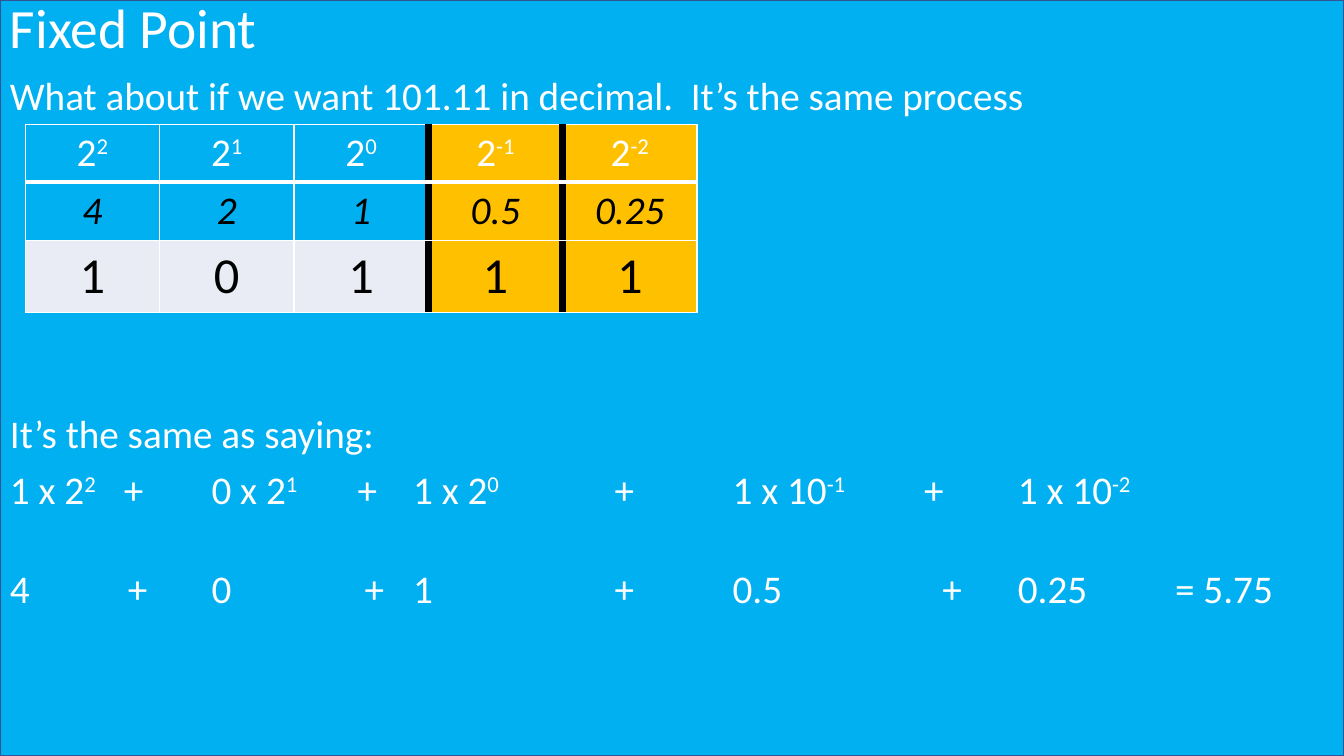
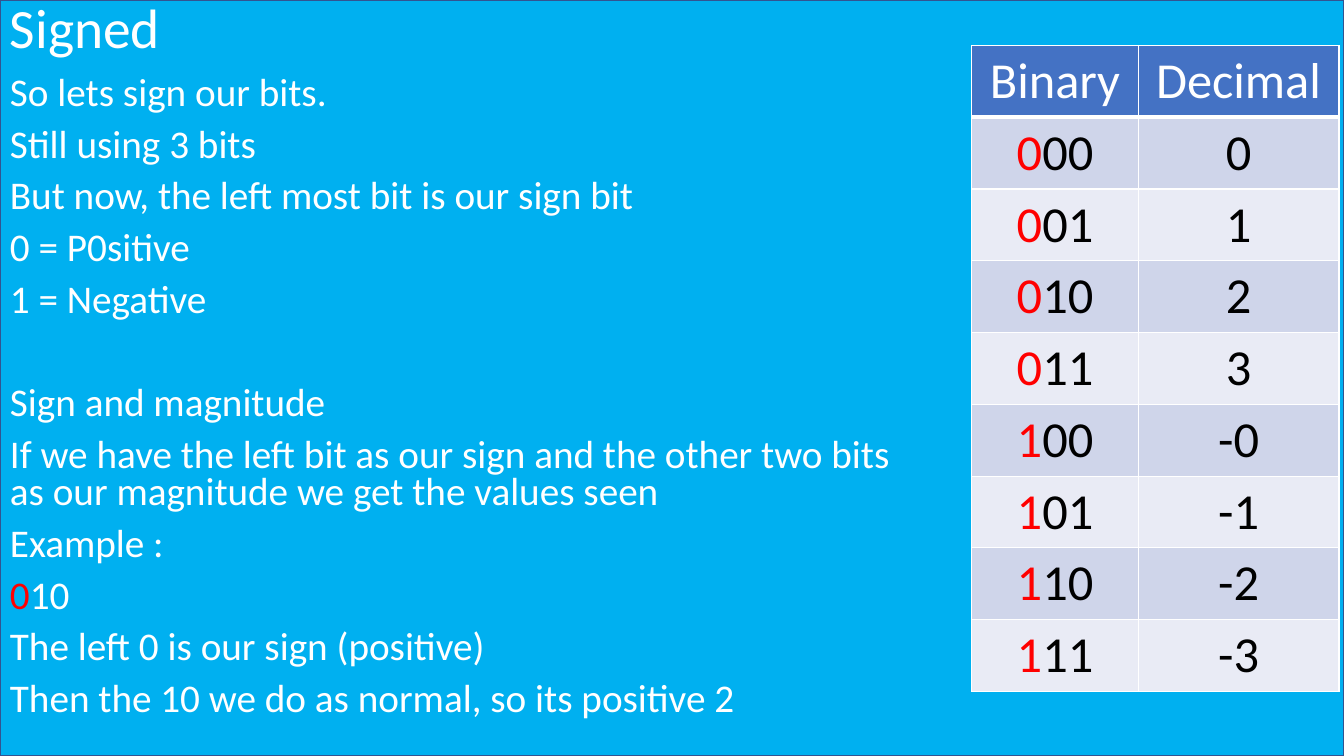
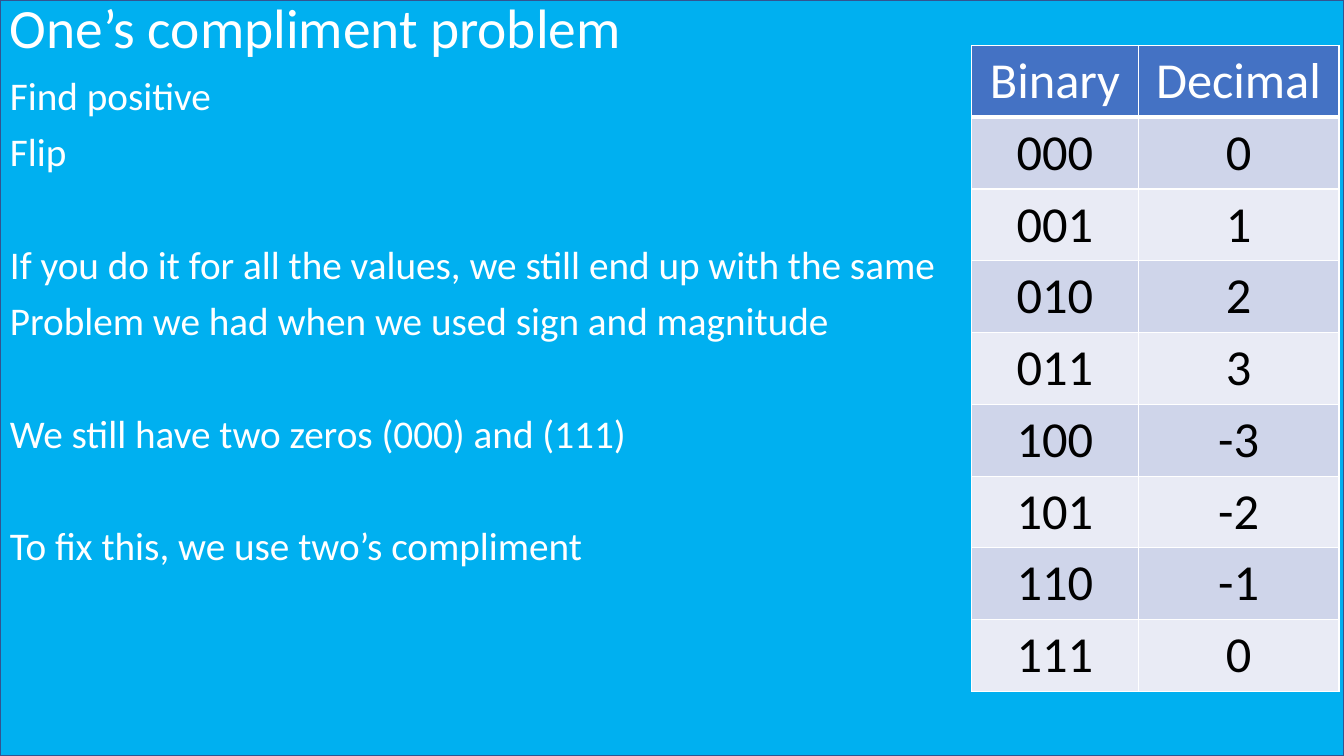
import dataclasses

import lxml.etree
import pptx
import pptx.dml.color
import pptx.enum.shapes
import pptx.enum.text
import pptx.oxml.ns
import pptx.util


@dataclasses.dataclass(frozen=True)
class Theme:
    font: str = "Calibri"
    sky: str = "00B0F0"
    frame: str = "325491"
    white: str = "FFFFFF"
    black: str = "000000"
    red: str = "FF0000"
    gold: str = "FFC000"
    head: str = "4472C4"
    bands: tuple = ("CFD5EA", "E9EBF5")
    title: float = 39.6
    body: float = 28
    large: float = 36
    lead: float = 10
    pitch: float = 1.2


THEME = Theme()
COLS, ROWS = 160, 90
CELL = pptx.util.Inches(1) / 12
CENTER = pptx.enum.text.PP_ALIGN.CENTER


def units(*counts):
    return [round(count * CELL) for count in counts]


def paint(hue):
    return pptx.dml.color.RGBColor.from_string(hue)


def child(parent, tag, **values):
    return lxml.etree.SubElement(parent, pptx.oxml.ns.qn(tag), **values)


def write(para, text, size=THEME.body, hue=THEME.white, slant=False,
          raised=False, align=None, line=None, before=0, tabs=()):
    """Parts between bars are raised, or else red."""
    if tabs:
        stops = child(para._p.get_or_add_pPr(), "a:tabLst")
        for stop in tabs:
            child(stops, "a:tab", pos=str(pptx.util.Inches(stop)), algn="l")
    para.alignment = align
    para.line_spacing = line
    para.space_before = pptx.util.Pt(before)
    for row, words in enumerate(text.split("\n")):
        if row:
            para.add_line_break()
        for spot, part in enumerate(words.split("|")):
            if not part:
                continue
            marked = spot % 2 == 1
            run = para.add_run()
            run.text = part
            run.font.name = THEME.font
            run.font.size = pptx.util.Pt(size)
            run.font.italic = slant
            run.font.color.rgb = paint(THEME.red if marked and not raised else hue)
            if marked and raised:
                run._r.get_or_add_rPr().set("baseline", "30000")


class Deck:
    def __init__(self):
        self.show = pptx.Presentation()
        self.show.slide_width, self.show.slide_height = units(COLS, ROWS)
        self.slide = None

    def start(self, title):
        self.slide = self.show.slides.add_slide(self.show.slide_layouts[6])
        back = self.slide.shapes.add_shape(
            pptx.enum.shapes.MSO_SHAPE.RECTANGLE, *units(0, 0, COLS, ROWS))
        back.shadow.inherit = False
        back.fill.solid()
        back.fill.fore_color.rgb = paint(THEME.sky)
        back.line.color.rgb = paint(THEME.frame)
        back.line.width = pptx.util.Pt(1)
        frame = self.box(0, 7.3)
        frame.vertical_anchor = pptx.enum.text.MSO_ANCHOR.MIDDLE
        write(frame.paragraphs[0], title, size=THEME.title, line=0.9)

    def box(self, top, tall):
        frame = self.slide.shapes.add_textbox(*units(0, top, COLS, tall)).text_frame
        frame.word_wrap = True
        frame.auto_size = pptx.enum.text.MSO_AUTO_SIZE.NONE
        return frame

    def body(self, items, line=0.9, raised=False):
        frame = self.box(8.5, ROWS - 8.5)
        step = THEME.body * THEME.pitch * line
        for spot, (text, skip, tabs) in enumerate(items):
            para = frame.add_paragraph() if spot else frame.paragraphs[0]
            before = THEME.lead + skip * step if spot else 0
            write(para, text, line=line, before=before, tabs=tabs, raised=raised)

    def grid(self, left, top, wides, talls):
        table = self.slide.shapes.add_table(
            len(talls), len(wides), *units(left, top, sum(wides), sum(talls))).table
        for column, wide in zip(table.columns, units(*wides)):
            column.width = wide
        for row, tall in zip(table.rows, units(*talls)):
            row.height = tall
        return table

    def fill(self, cell, text, back, edges=None, **style):
        plan = dict.fromkeys("LRTB", (THEME.white, 1)) | (edges or {})
        props = cell._tc.get_or_add_tcPr()
        for side, (hue, width) in plan.items():
            edge = child(props, "a:ln" + side, w=str(pptx.util.Pt(width)))
            child(child(edge, "a:solidFill"), "a:srgbClr", val=hue)
        cell.fill.solid()
        cell.fill.fore_color.rgb = paint(back)
        write(cell.text_frame.paragraphs[0], text, align=CENTER, **style)

    def values(self, codes, numbers):
        rows = [("Binary", "Decimal"), *zip(codes, numbers)]
        table = self.grid(115.7, 5.4, (19.8, 23.9), [8.4] * len(rows))
        for r, row in enumerate(rows):
            back = THEME.bands[(r - 1) % 2] if r else THEME.head
            hue = THEME.black if r else THEME.white
            edges = None if r else {"B": (THEME.white, 3)}
            for c, text in enumerate(row):
                self.fill(table.cell(r, c), text, back, edges,
                          size=THEME.large, hue=hue)

    def places(self):
        rows = (
            (("2|2|", "2|1|", "2|0|", "2|-1|", "2|-2|"), THEME.sky,
             dict(raised=True)),
            (("4", "2", "1", "0.5", "0.25"), THEME.sky,
             dict(hue=THEME.black, slant=True)),
            (("1", "0", "1", "1", "1"), THEME.bands[1],
             dict(hue=THEME.black, size=THEME.large)),
        )
        table = self.grid(3, 14.8, [16] * 5, (6.9, 6.9, 8.5))
        bar = (THEME.black, 6)
        for r, (words, back, style) in enumerate(rows):
            for c, text in enumerate(words):
                edges = {} if r else {"B": (THEME.white, 3)}
                if c in (2, 3):
                    edges["R"] = bar
                if c in (3, 4):
                    edges["L"] = bar
                self.fill(table.cell(r, c), text, THEME.gold if c > 2 else back,
                          edges, **style)


def plain(text, skip=0):
    return text, skip, ()


def main():
    deck = Deck()
    codes = [format(n, "03b") for n in range(8)]

    deck.start("Fixed Point")
    deck.body([
        plain("What about if we want 101.11 in decimal.  It’s the same process"),
        ("It’s the same as saying:", 6.65, ()),
        ("1 x 2|2|\t+\t0 x 2|1|\t+\t1 x 2|0|\t+\t1 x 10|-1|\t+\t1 x 10|-2|", 0,
         (1.13, 2, 3.45, 4, 6, 7.17, 9.07, 10)),
        ("4\t+\t0\t+\t1\t+\t0.5\t+\t0.25\t= 5.75", 1,
         (1.17, 2, 3.52, 4, 6, 7.17, 9.25, 10, 11.56)),
    ], raised=True)
    deck.places()

    deck.start("Signed")
    deck.body([
        plain("So lets sign our bits."),
        plain("Still using 3 bits"),
        plain("But now, the left most bit is our sign bit"),
        plain("0 = P0sitive"),
        plain("1 = Negative"),
        plain("Sign and magnitude", 1.37),
        plain("If we have the left bit as our sign and the other two bits\n"
              "as our magnitude we get the values seen"),
        plain("Example :"),
        plain("|0|10"),
        plain("The left 0 is our sign (positive)"),
        plain("Then the 10 we do as normal, so its positive 2"),
    ], line=0.8)
    deck.values([f"|{code[0]}|{code[1:]}" for code in codes],
                ("0", "1", "2", "3", "-0", "-1", "-2", "-3"))

    deck.start("One’s compliment problem")
    deck.body([
        plain("Find positive"),
        plain("Flip"),
        plain("If you do it for all the values, we still end up with the same", 1.33),
        plain("Problem we had when we used sign and magnitude"),
        plain("We still have two zeros (000) and (111)", 1.33),
        plain("To fix this, we use two’s compliment", 1.33),
    ])
    deck.values(codes, ("0", "1", "2", "3", "-3", "-2", "-1", "0"))

    deck.show.save("out.pptx")


if __name__ == "__main__":
    main()
